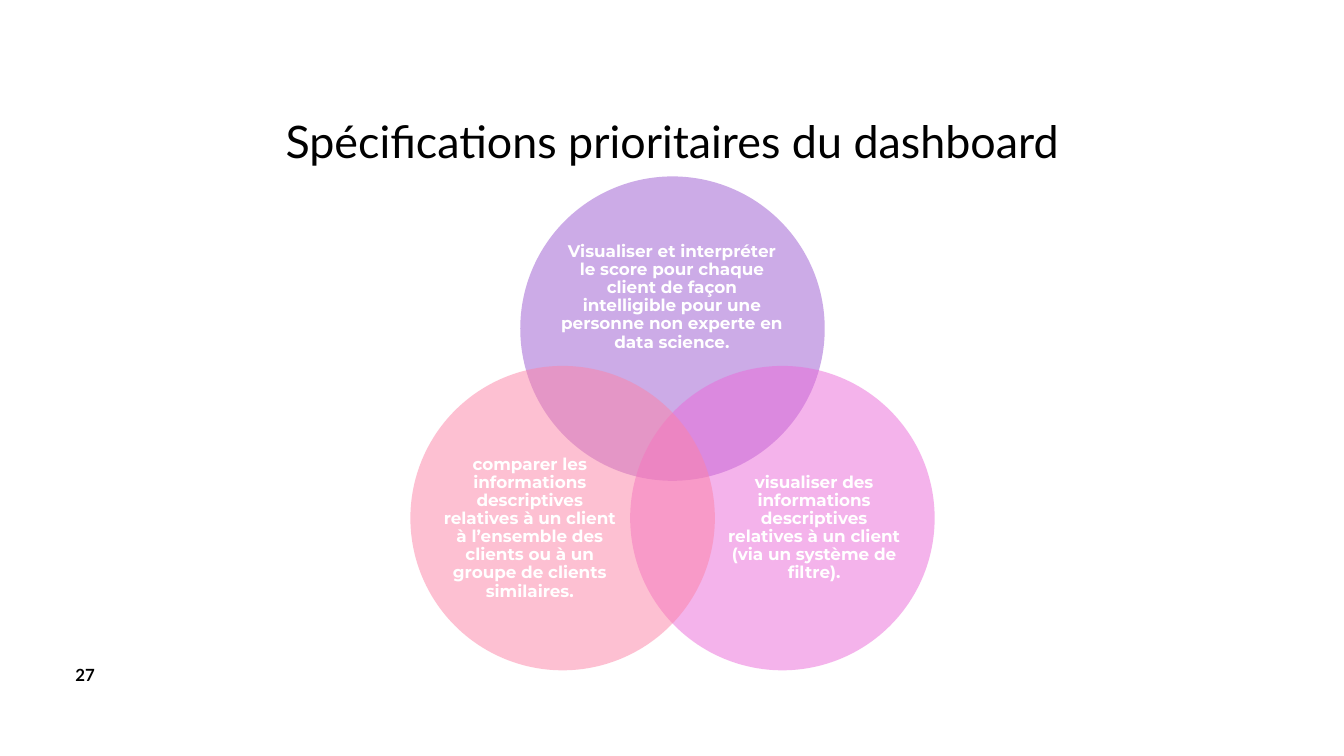
from dataclasses import dataclass

from lxml.etree import SubElement
from pptx import Presentation
from pptx.dml.color import RGBColor
from pptx.enum.shapes import MSO_SHAPE
from pptx.enum.text import MSO_ANCHOR, MSO_AUTO_SIZE, PP_ALIGN
from pptx.oxml.ns import qn
from pptx.slide import Slide
from pptx.text.text import TextFrame
from pptx.util import Inches, Pt

BLACK = RGBColor(0x00, 0x00, 0x00)
WHITE = RGBColor(0xFF, 0xFF, 0xFF)
PURPLE = RGBColor(0x9B, 0x58, 0xD0)
ORCHID = RGBColor(0xEB, 0x69, 0xD9)
PINK = RGBColor(0xFD, 0x83, 0xA6)
SIZE = 3.02
ALPHA = 50


@dataclass(frozen=True)
class Circle:
    left: float
    top: float
    color: RGBColor
    box: tuple[float, float, float, float]
    text: str


CIRCLES = [
    Circle(5.16, 1.75, PURPLE, (5.56, 2.27, 2.21, 1.36),
           "Visualiser et interpréter le score pour chaque client de façon "
           "intelligible pour une personne non experte en data science."),
    Circle(6.25, 3.63, ORCHID, (7.17, 4.41, 1.81, 1.66),
           "visualiser des informations descriptives relatives à un client "
           "(via un système de filtre)."),
    Circle(4.07, 3.63, PINK, (4.35, 4.41, 1.81, 1.66),
           "comparer les informations descriptives relatives à un client "
           "à l’ensemble des clients ou à un groupe de clients similaires."),
]


def set_text(frame: TextFrame, text: str, face: str, size: int,
             color: RGBColor, bold: bool, align: PP_ALIGN) -> None:
    frame.text = text
    line = frame.paragraphs[0]
    line.alignment = align
    line.font.name = face
    line.font.size = Pt(size)
    line.font.bold = bold
    line.font.color.rgb = color


def add_title(slide: Slide) -> None:
    title = slide.shapes.title
    title.left, title.top = Inches(1.96), Inches(1.14)
    title.width, title.height = Inches(9.42), Inches(0.54)
    frame = title.text_frame
    frame.margin_left = frame.margin_right = 0
    frame.vertical_anchor = MSO_ANCHOR.TOP
    frame.auto_size = MSO_AUTO_SIZE.NONE
    set_text(frame, "Spécifications prioritaires du dashboard", "Lato", 32,
             BLACK, False, PP_ALIGN.CENTER)
    frame.paragraphs[0].line_spacing = 0.9


def add_number(slide: Slide) -> None:
    box = slide.shapes.add_textbox(Inches(0.65), Inches(6.55),
                                   Inches(0.4), Inches(0.3))
    box.text_frame.word_wrap = False
    set_text(box.text_frame, "27", "Lato", 12, BLACK, True, PP_ALIGN.LEFT)


def add_circle(slide: Slide, item: Circle) -> None:
    group = slide.shapes.add_group_shape()
    disc = group.shapes.add_shape(MSO_SHAPE.OVAL, Inches(item.left),
                                  Inches(item.top), Inches(SIZE), Inches(SIZE))
    disc.shadow.inherit = False
    disc.line.fill.background()
    disc.fill.solid()
    disc.fill.fore_color.rgb = item.color
    tint = disc.fill._xPr.find(qn("a:solidFill"))[0]
    SubElement(tint, qn("a:alpha"), val=str(ALPHA * 1000))

    label = group.shapes.add_textbox(*[Inches(side) for side in item.box])
    frame = label.text_frame
    frame.word_wrap = True
    frame.vertical_anchor = MSO_ANCHOR.MIDDLE
    frame.margin_left = frame.margin_right = 0
    frame.margin_top = frame.margin_bottom = 0
    set_text(frame, item.text, "Montserrat", 12, WHITE, True, PP_ALIGN.CENTER)
    frame.paragraphs[0].line_spacing = 0.9


def main() -> None:
    deck = Presentation()
    deck.slide_width, deck.slide_height = Inches(13.33), Inches(7.5)
    slide = deck.slides.add_slide(deck.slide_layouts.get_by_name("Title Only"))
    add_number(slide)
    add_title(slide)
    for item in CIRCLES:
        add_circle(slide, item)
    deck.save("out.pptx")


if __name__ == "__main__":
    main()
